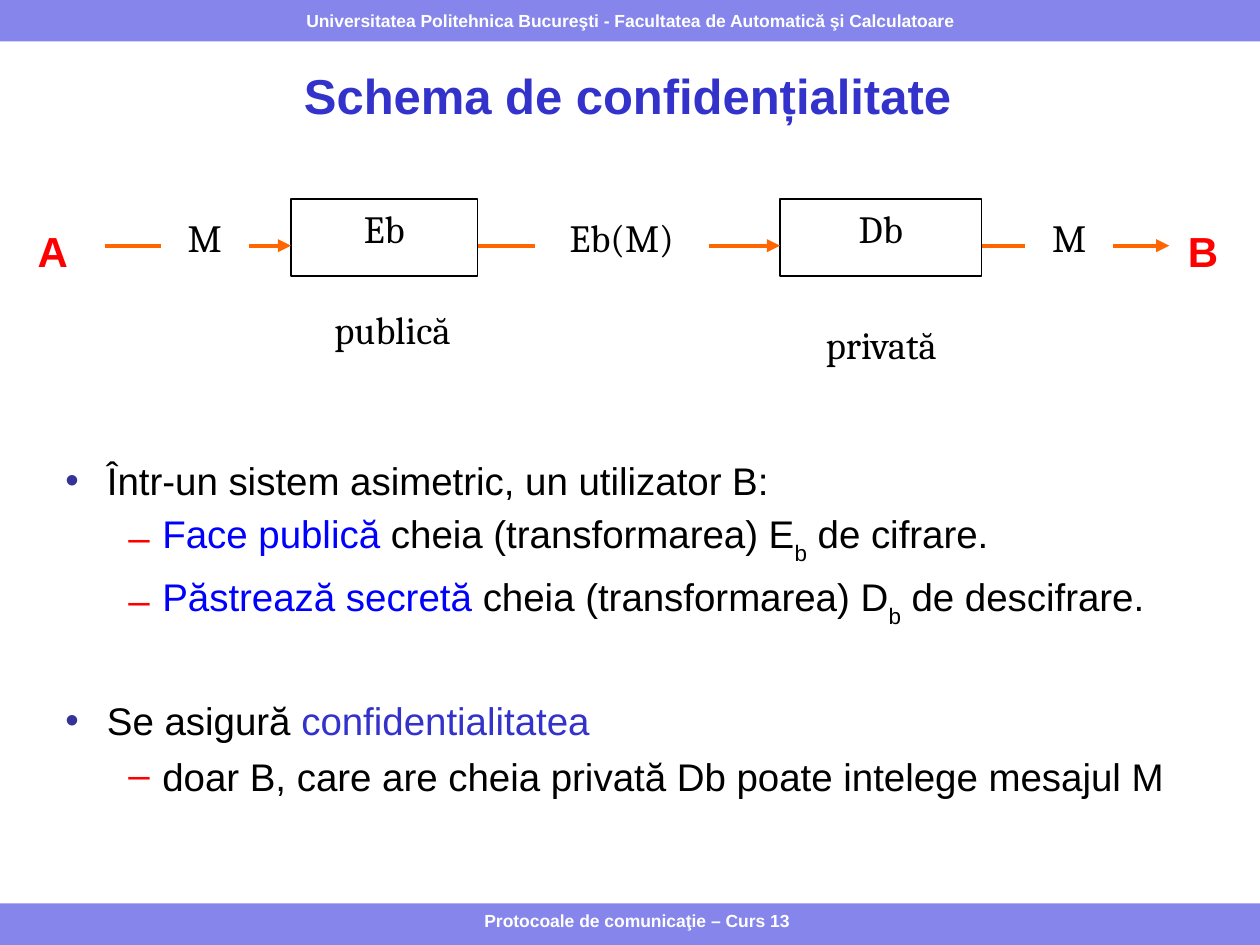
import pptx
import pptx.dml.color
import pptx.enum.shapes
import pptx.enum.text
import pptx.oxml
import pptx.oxml.ns
import pptx.util

ALIGN = pptx.enum.text.PP_ALIGN
ANCHOR = pptx.enum.text.MSO_ANCHOR

THEME = {
    "bar": "8585EB", "paper": "FFFFFF", "ink": "000000", "title": "3333CC",
    "party": "FF0000", "arrow": "FF6600", "key": "0000FF",
    "bullets": [("•", "333399"), ("–", "FF0000")],
    "sans": "Arial", "serif": "Cambria",
    "small": 10, "body": 22, "party_size": 24, "title_size": 28,
    "outline": 0.75, "arrow_width": 2.5,
}

# The slide is a grid of 100 columns by 75 rows; boxes are column, row, width, height.
COLUMNS, ROWS = 100, 75
CELL = pptx.util.Inches(0.1)
BAR_HEIGHT = 3.3
INSETS = (1, 0.5)

HEADER = "Universitatea Politehnica Bucureşti - Facultatea de Automatică şi Calculatoare"
FOOTER = ("Protocoale de comunicaţie – Curs 13", (25.8, 71.7, 49.5, 2.9))
TITLE = ("Schema de confidențialitate", (4.2, 4.2, 91.2, 6.7))
BODY_BOX = (4.2, 35.8, 91.2, 33.7)

STAGE_ROW, STAGE_HEIGHT = 15.8, 6.1
STAGES = [("Eb", 23.1, 14.8), ("Db", 61.9, 16)]
FLOW_ROW, FLOW_START, FLOW_END = 19.5, 8.3, 92.8
LABEL_HEIGHT = 3.6
LABELS = [
    ("M", 12.8, 17, 6.9), ("Eb(M)", 42.5, 17, 13.7), ("M", 81.4, 17, 6.9),
    ("publică", 24.3, 24.3, 13.7), ("privată", 63.1, 25.5, 13.7),
]
PARTIES = [("A", 2), ("B", 93.3)]
PARTY_ROW, PARTY_SIDE = 17.4, 5

# Each paragraph: level, spacing, runs of (text, theme colour, is subscript).
INDENTS = [(0.33, -0.33), (0.77, -0.27)]
PLAIN = {"space_after": 4}
BODY = [
    (0, PLAIN, [("Într-un sistem asimetric, un utilizator B:", "ink", False)]),
    (1, PLAIN, [("Face publică ", "key", False), ("cheia (transformarea) E", "ink", False),
                ("b", "ink", True), (" de cifrare.", "ink", False)]),
    (1, PLAIN, [("Păstrează secretă ", "key", False), ("cheia (transformarea) D", "ink", False),
                ("b", "ink", True), (" de descifrare.", "ink", False)]),
    (0, {"line_spacing": 0.85, "space_before": 39, "space_after": 5.8},
     [("Se asigură ", "ink", False), ("confidentialitatea", "title", False)]),
    (1, {"line_spacing": 0.75, "space_before": 5.8, "space_after": 2.9},
     [("doar B, care are cheia privată Db poate intelege mesajul M", "ink", False)]),
]


def cells(*values):
    return [round(value * CELL) for value in values]


def rgb(name):
    return pptx.dml.color.RGBColor.from_string(THEME[name])


def add_xml(parent, tag, children="", **attributes):
    text = "".join(f' {key}="{value}"' for key, value in attributes.items())
    namespace = pptx.oxml.ns.nsdecls("a")
    parent.append(pptx.oxml.parse_xml(f"<a:{tag} {namespace}{text}>{children}</a:{tag}>"))


def add_run(paragraph, text, font, size, colour, bold=False):
    run = paragraph.add_run()
    run.text = text
    formats = {"name": THEME[font], "size": pptx.util.Pt(THEME[size]), "bold": bold}
    for name, value in formats.items():
        setattr(run.font, name, value)
    run.font.color.rgb = rgb(colour)
    return run


def prepare_frame(shape, anchor=ANCHOR.TOP, insets=INSETS, wrap=True):
    horizontal, vertical = cells(*insets)
    formats = {
        "word_wrap": wrap, "vertical_anchor": anchor,
        "margin_left": horizontal, "margin_right": horizontal,
        "margin_top": vertical, "margin_bottom": vertical,
    }
    for name, value in formats.items():
        setattr(shape.text_frame, name, value)
    return shape.text_frame


def write_line(shape, text, font, size, colour, bold=False, align=ALIGN.CENTER, **frame_options):
    paragraph = prepare_frame(shape, **frame_options).paragraphs[0]
    paragraph.alignment = align
    add_run(paragraph, text, font, size, colour, bold)


def add_box(slide, box, fill, line=None):
    shape = slide.shapes.add_shape(pptx.enum.shapes.MSO_SHAPE.RECTANGLE, *cells(*box))
    shape.shadow.inherit = False
    shape.fill.solid()
    shape.fill.fore_color.rgb = rgb(fill)
    if line:
        shape.line.color.rgb = rgb(line)
        shape.line.width = pptx.util.Pt(THEME["outline"])
    else:
        shape.line.fill.background()
    return shape


def add_arrow(slide, start, end):
    arrow = slide.shapes.add_connector(
        pptx.enum.shapes.MSO_CONNECTOR.STRAIGHT, *cells(start, FLOW_ROW, end, FLOW_ROW))
    arrow.line.color.rgb = rgb("arrow")
    arrow.line.width = pptx.util.Pt(THEME["arrow_width"])
    add_xml(arrow.line._get_or_add_ln(), "tailEnd", type="triangle")
    add_xml(arrow._element.spPr, "effectLst")


def add_bars(slide):
    add_box(slide, (0, ROWS - BAR_HEIGHT, COLUMNS, BAR_HEIGHT), "bar")
    header = add_box(slide, (0, 0, COLUMNS, BAR_HEIGHT), "bar")
    write_line(header, HEADER, "sans", "small", "paper", True,
               anchor=ANCHOR.MIDDLE, wrap=False)


def add_scheme(slide):
    for text, column, width in STAGES:
        stage = add_box(slide, (column, STAGE_ROW, width, STAGE_HEIGHT), "paper", "ink")
        write_line(stage, text, "serif", "body", "ink")
    starts = [FLOW_START] + [column + width for _, column, width in STAGES]
    ends = [column for _, column, _ in STAGES] + [FLOW_END]
    for start, end in zip(starts, ends):
        add_arrow(slide, start, end)
    for text, column, row, width in LABELS:
        label = add_box(slide, (column, row, width, LABEL_HEIGHT), "paper", "paper")
        write_line(label, text, "serif", "body", "ink", insets=(0, 0))
    for text, column in PARTIES:
        party = slide.shapes.add_textbox(*cells(column, PARTY_ROW, PARTY_SIDE, PARTY_SIDE))
        write_line(party, text, "sans", "party_size", "party", True, ALIGN.LEFT)


def add_body(slide):
    frame = prepare_frame(slide.shapes.add_textbox(*cells(*BODY_BOX)))
    for index, (level, spacing, runs) in enumerate(BODY):
        paragraph = frame.add_paragraph() if index else frame.paragraphs[0]
        paragraph.level = level
        for name, value in spacing.items():
            setattr(paragraph, name, value if name == "line_spacing" else pptx.util.Pt(value))
        properties = paragraph._p.get_or_add_pPr()
        for name, length in zip(("marL", "indent"), INDENTS[level]):
            properties.set(name, str(pptx.util.Inches(length)))
        mark, colour = THEME["bullets"][level]
        add_xml(properties, "buClr", f'<a:srgbClr val="{colour}"/>')
        add_xml(properties, "buFont", typeface=THEME["sans"])
        add_xml(properties, "buChar", char=mark)
        for text, colour, subscript in runs:
            run = add_run(paragraph, text, "sans", "body", colour)
            if subscript:
                run._r.get_or_add_rPr().set("baseline", "-33000")


def main():
    presentation = pptx.Presentation()
    presentation.slide_width, presentation.slide_height = COLUMNS * CELL, ROWS * CELL
    slide = presentation.slides.add_slide(presentation.slide_layouts[6])
    add_bars(slide)
    add_scheme(slide)
    text, box = TITLE
    write_line(slide.shapes.add_textbox(*cells(*box)), text, "sans", "title_size", "title",
               True, anchor=ANCHOR.MIDDLE)
    add_body(slide)
    text, box = FOOTER
    write_line(slide.shapes.add_textbox(*cells(*box)), text, "sans", "small", "paper", True)
    presentation.save("out.pptx")


if __name__ == "__main__":
    main()
